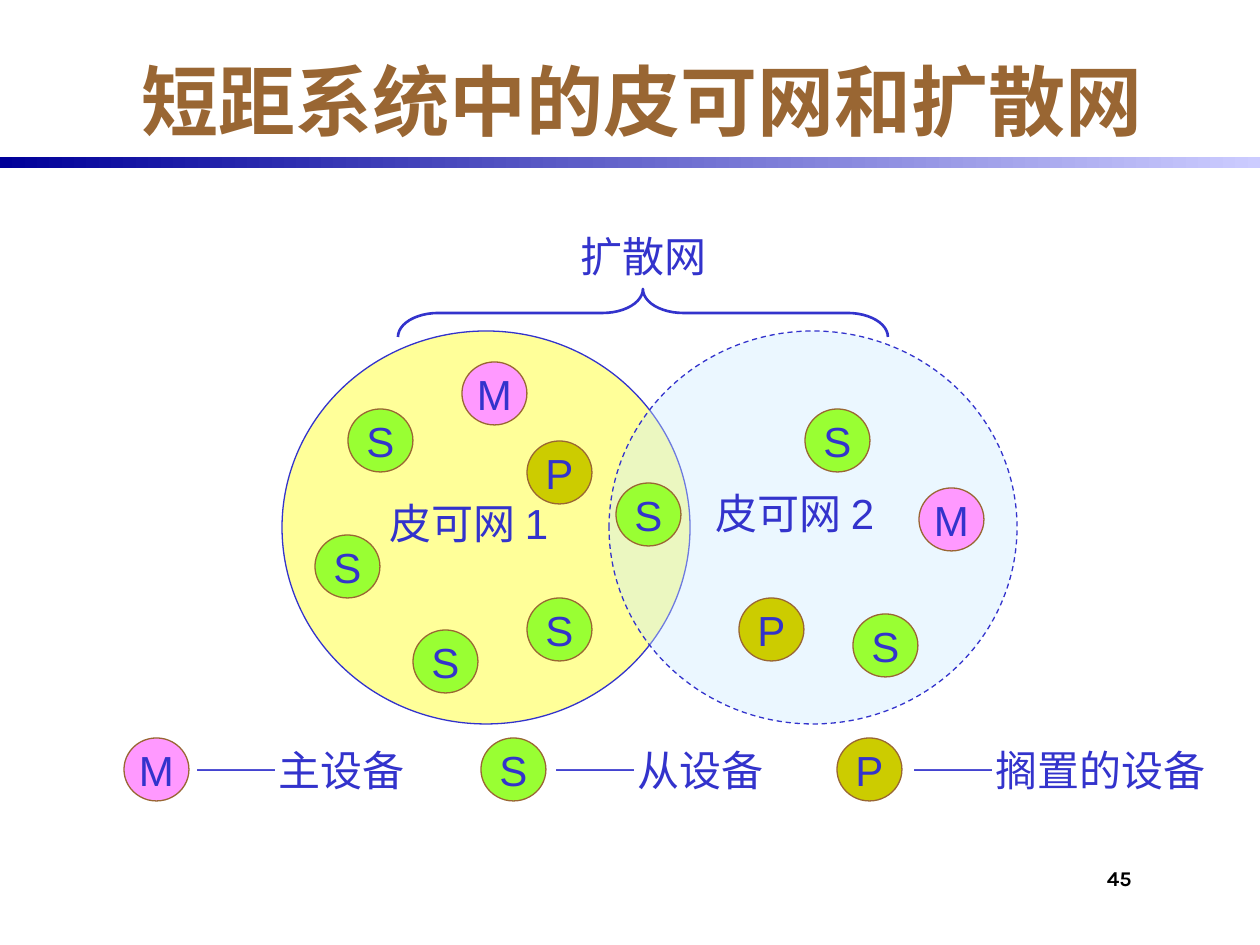
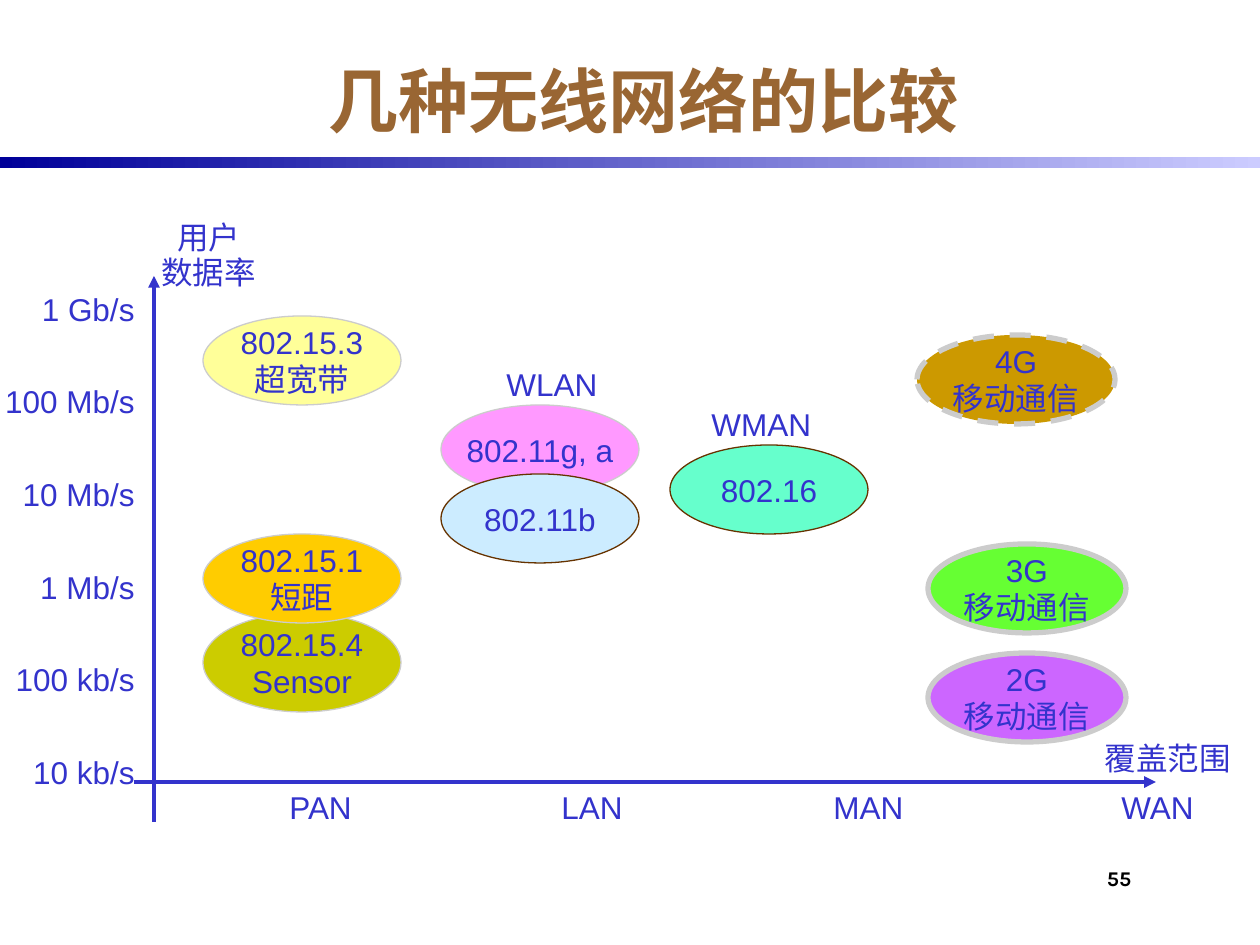
from dataclasses import dataclass
from typing import NamedTuple

from lxml import etree
from pptx import Presentation
from pptx.dml.color import RGBColor
from pptx.enum.dml import MSO_LINE
from pptx.enum.shapes import MSO_CONNECTOR, MSO_SHAPE
from pptx.enum.text import MSO_ANCHOR, MSO_AUTO_SIZE, PP_ALIGN
from pptx.oxml.ns import qn
from pptx.util import Emu, Pt

DASH = MSO_LINE.DASH
RECTANGLE, ELLIPSE, BRACE = MSO_SHAPE.RECTANGLE, MSO_SHAPE.OVAL, MSO_SHAPE.RIGHT_BRACE
STRAIGHT = MSO_CONNECTOR.STRAIGHT
TOP, MIDDLE = MSO_ANCHOR.TOP, MSO_ANCHOR.MIDDLE
NO_AUTOFIT = MSO_AUTO_SIZE.NONE
LEFT, CENTER, RIGHT = PP_ALIGN.LEFT, PP_ALIGN.CENTER, PP_ALIGN.RIGHT
EMU_PER_PX = 914400 / 126
TITLE_ONLY = 5


@dataclass(frozen=True)
class Theme:
    ink: str = "3333CC"
    title: str = "996633"
    number: str = "000000"
    band_start: str = "000099"
    band_end: str = "CCCCFF"
    white: str = "FFFFFF"
    pink: str = "FF99FF"
    green: str = "99FF33"
    olive: str = "CCCC00"
    yellow: str = "FFFF99"
    sky: str = "CCECFF"
    gold: str = "FFCC00"
    aqua: str = "66FFCC"
    violet: str = "CC66FF"
    lime: str = "66FF33"
    ochre: str = "CC9900"
    grey: str = "CCCCCC"
    brown: str = "663300"
    font: str = "Arial"
    alt_font: str = "Karla"
    device_size: int = 24
    chart_size: int = 18
    number_size: int = 12


THEME = Theme()


class Box(NamedTuple):
    x: int
    y: int
    w: int
    h: int


class Device(NamedTuple):
    role: str
    x: int
    y: int


class LegendEntry(NamedTuple):
    role: str
    meaning: str
    x: int
    text_x: int
    text_w: int


@dataclass(frozen=True)
class Network:
    lines: tuple[str, ...]
    x: int
    y: int
    fill: str
    h: int = 89
    outline: str = THEME.grey
    weight: float = 0.75
    dash: MSO_LINE | None = None


ROLE_FILLS = {"M": THEME.pink, "S": THEME.green, "P": THEME.olive}
DEVICE_W, DEVICE_H = 65, 63
LEGEND_Y = 738
NETWORK_W = 198

DEVICES = (
    Device("M", 462, 362), Device("M", 919, 488),
    Device("S", 315, 535), Device("S", 348, 409),
    Device("P", 739, 598), Device("S", 616, 483),
    Device("S", 527, 598), Device("S", 413, 630),
    Device("S", 853, 614), Device("S", 805, 409),
    Device("P", 527, 441),
)
LEGEND = (
    LegendEntry("M", "主设备", 124, 182, 234),
    LegendEntry("S", "从设备", 481, 541, 234),
    LegendEntry("P", "搁置的设备", 837, 899, 319),
)
NETWORKS = (
    Network(("802.15.4", "Sensor"), 203, 613, THEME.olive, h=99),
    Network(("802.15.1", "短距"), 203, 534, THEME.gold),
    Network(("802.15.3", "超宽带"), 203, 316, THEME.yellow),
    Network(("802.11g, a",), 441, 405, THEME.pink),
    Network(("802.11b",), 441, 474, THEME.sky, outline=THEME.brown),
    Network(("802.16",), 670, 445, THEME.aqua, outline=THEME.brown),
    Network(("2G", "移动通信"), 928, 653, THEME.violet, weight=3),
    Network(("3G", "移动通信"), 928, 544, THEME.lime, weight=3),
    Network(("4G", "移动通信"), 917, 335, THEME.ochre, weight=3, dash=DASH),
)
DATA_RATES = ("1 Gb/s", "100 Mb/s", "10 Mb/s", "1 Mb/s", "100 kb/s", "10 kb/s")
COVERAGE_STOPS = (272, 544, 832)


def px(length: float) -> Emu:
    return Emu(round(length * EMU_PER_PX))


def rgb(color: str) -> RGBColor:
    return RGBColor.from_string(color)


def place(box: Box) -> tuple[Emu, ...]:
    return tuple(px(length) for length in box)


def write(frame, *lines: str, size: float = THEME.device_size, color: str = THEME.ink,
          font: str = THEME.font, lead: str = "", bold: bool = False, align=LEFT,
          anchor=TOP, wrap: bool = False, spacing: tuple[float, ...] = (),
          gap: float = 0, tabs: tuple[int, ...] = (),
          insets: tuple[float, ...] = (12.6, 6.3, 12.6, 6.3)) -> None:
    frame.auto_size = NO_AUTOFIT
    frame.word_wrap = wrap
    frame.vertical_anchor = anchor
    (frame.margin_left, frame.margin_top,
     frame.margin_right, frame.margin_bottom) = map(px, insets)
    for index, line in enumerate(lines):
        paragraph = frame.add_paragraph() if index else frame.paragraphs[0]
        paragraph.alignment = align
        if spacing:
            paragraph.line_spacing = spacing[min(index, len(spacing) - 1)]
        if index and gap:
            paragraph.space_before = Pt(gap)
        if tabs:
            stops = etree.SubElement(paragraph._p.get_or_add_pPr(), qn("a:tabLst"))
            for stop in tabs:
                etree.SubElement(stops, qn("a:tab"), pos=str(px(stop)), algn="l")
        for words, face in ((lead, THEME.font), (line, font)):
            if words:
                run = paragraph.add_run()
                run.text = words
                run.font.name = face
                run.font.size = Pt(size)
                run.font.bold = bold
                run.font.color.rgb = rgb(color)


def add_label(slide, box: Box, *lines: str, **text_format) -> None:
    write(slide.shapes.add_textbox(*place(box)).text_frame, *lines, **text_format)


def add_figure(slide, preset, box: Box, fill: str | None = None,
               outline: str | None = None, weight: float = 0.75, dash=None,
               opacity: int = 100):
    figure = slide.shapes.add_shape(preset, *place(box))
    figure.shadow.inherit = False
    if fill:
        figure.fill.solid()
        figure.fill.fore_color.rgb = rgb(fill)
        if opacity < 100:
            fill_color = next(figure.element.spPr.iter(qn("a:srgbClr")))
            etree.SubElement(fill_color, qn("a:alpha"), val=str(opacity * 1000))
    else:
        figure.fill.background()
    if outline:
        figure.line.color.rgb = rgb(outline)
        figure.line.width = Pt(weight)
        if dash:
            figure.line.dash_style = dash
    else:
        figure.line.fill.background()
    return figure


def add_axis(slide, start: tuple[int, int], end: tuple[int, int]) -> None:
    axis = slide.shapes.add_connector(STRAIGHT, *map(px, start + end))
    axis.line.color.rgb = rgb(THEME.ink)
    axis.line.width = Pt(2.25)
    properties = axis.element.spPr
    etree.SubElement(properties.find(qn("a:ln")), qn("a:tailEnd"), type="triangle")
    etree.SubElement(properties, qn("a:effectLst"))


def add_device(slide, device: Device) -> None:
    circle = add_figure(slide, ELLIPSE, Box(device.x, device.y, DEVICE_W, DEVICE_H),
                        ROLE_FILLS[device.role], THEME.title)
    write(circle.text_frame, device.role, align=CENTER, anchor=MIDDLE)


def add_network(slide, network: Network) -> None:
    oval = add_figure(slide, ELLIPSE, Box(network.x, network.y, NETWORK_W, network.h),
                      network.fill, network.outline, network.weight, network.dash)
    write(oval.text_frame, *network.lines, size=THEME.chart_size, align=CENTER,
          anchor=MIDDLE)


def add_band_to_layout(slide) -> None:
    band = add_figure(slide, RECTANGLE, Box(0, 157, 1260, 11))
    band.fill.gradient()
    band.fill.gradient_angle = 0
    for stop, color in zip(band.fill.gradient_stops, (THEME.band_start, THEME.band_end)):
        stop.color.rgb = rgb(color)
    slide.slide_layout.shapes.element.append(band.element)


def start_slide(deck, heading: str, size: int, number: str):
    slide = deck.slides.add_slide(deck.slide_layouts[TITLE_ONLY])
    title = slide.shapes.title
    title.left, title.top, title.width, title.height = place(Box(116, 42, 1071, 116))
    write(title.text_frame, heading, size=size, color=THEME.title, bold=True,
          align=CENTER, anchor=MIDDLE, wrap=True)
    add_label(slide, Box(1102, 861, 74, 53), number, size=THEME.number_size,
              color=THEME.number, font=THEME.alt_font, bold=True, wrap=True,
              insets=(5, 5, 0, 0))
    return slide


def build_scatternet(deck) -> None:
    slide = start_slide(deck, "短距系统中的皮可网和扩散网 ", 44, "45")
    add_band_to_layout(slide)
    add_figure(slide, ELLIPSE, Box(282, 331, 408, 393), THEME.yellow, THEME.ink)
    add_figure(slide, ELLIPSE, Box(609, 331, 408, 393), THEME.sky, THEME.ink,
               dash=DASH, opacity=39)
    for device in DEVICES:
        add_device(slide, device)
    add_label(slide, Box(703, 481, 194, 63), "皮可网 2")
    add_label(slide, Box(568, 224, 151, 63), "扩散网")
    brace = add_figure(slide, BRACE, Box(619, 68, 48, 490), outline=THEME.ink, weight=1.5)
    brace.rotation = 270
    brace.adjustments[0] = 0.84
    add_label(slide, Box(377, 491, 194, 63), "皮可网 1")
    for entry in LEGEND:
        add_device(slide, Device(entry.role, entry.x, LEGEND_Y))
        add_label(slide, Box(entry.text_x, LEGEND_Y, entry.text_w, 63), entry.meaning,
                  lead="——", font=THEME.alt_font)


def build_comparison(deck) -> None:
    slide = start_slide(deck, "几种无线网络的比较 ", 40, "55")
    axis_text = {"size": THEME.chart_size, "spacing": (1.2,)}
    coverage = add_figure(slide, RECTANGLE, Box(1092, 725, 151, 58), THEME.white)
    write(coverage.text_frame, "覆盖范围", align=RIGHT, **axis_text)
    add_label(slide, Box(0, 276, 147, 648), *DATA_RATES, align=RIGHT, gap=27,
              wrap=True, insets=(0, 6.3, 12.6, 6.3), **axis_text)
    add_axis(slide, (134, 782), (1156, 782))
    add_axis(slide, (154, 822), (154, 276))
    add_label(slide, Box(149, 204, 119, 95), "用户", "数据率",
              size=THEME.chart_size, align=CENTER, spacing=(1.2, 0.95))
    add_label(slide, Box(277, 774, 934, 58), "PAN\tLAN\tMAN\tWAN",
              tabs=COVERAGE_STOPS, wrap=True, **axis_text)
    for network in NETWORKS:
        add_network(slide, network)
    add_label(slide, Box(494, 351, 98, 58), "WLAN", **axis_text)
    add_label(slide, Box(699, 391, 130, 58), "WMAN", **axis_text)


def main() -> None:
    deck = Presentation()
    deck.slide_width, deck.slide_height = px(1260), px(945)
    build_scatternet(deck)
    build_comparison(deck)
    deck.save("out.pptx")


if __name__ == "__main__":
    main()
